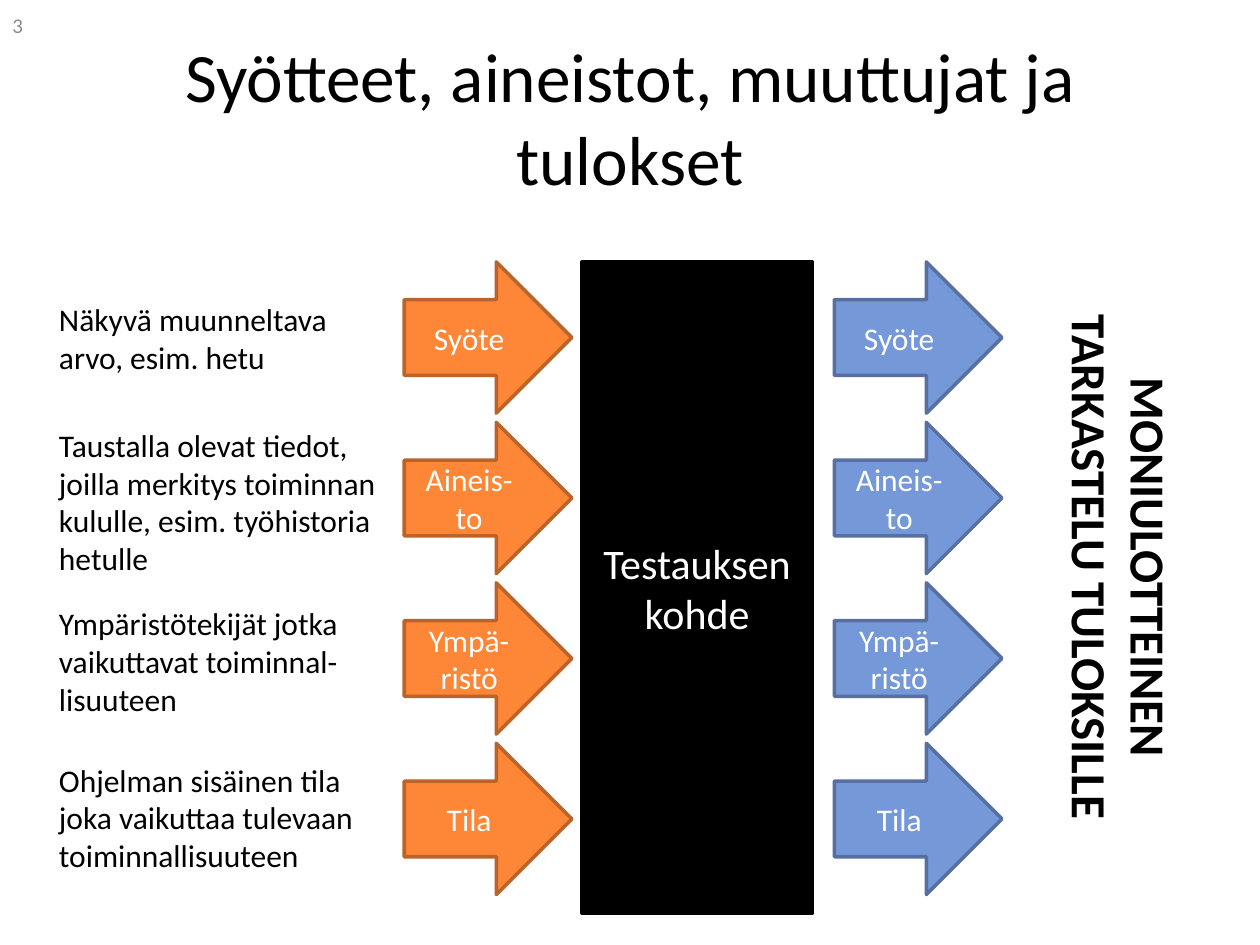
from pptx import Presentation
from pptx.dml.color import RGBColor
from pptx.enum.shapes import MSO_SHAPE as Shape
from pptx.enum.text import MSO_ANCHOR as Anchor, PP_ALIGN as Align
from pptx.util import Cm, Pt


def rgb(code):
    return RGBColor.from_string(code)


def write(shape, text, size, color="000000", align=Align.LEFT, anchor=Anchor.TOP, bold=False):
    frame = shape.text_frame
    frame.text = text
    frame.word_wrap = True
    frame.vertical_anchor = anchor
    para = frame.paragraphs[0]
    para.alignment = align
    look = {"name": "Calibri", "size": Pt(size), "bold": bold}
    for key, value in look.items():
        setattr(para.font, key, value)
    para.font.color.rgb = rgb(color)


prs = Presentation()
prs.slide_width, prs.slide_height = Cm(25.4), Cm(19.05)
slide = prs.slides.add_slide(prs.slide_layouts[5])
shapes = slide.shapes

title = shapes.title
place = {"left": Cm(1.27), "top": Cm(0.76), "width": Cm(22.86), "height": Cm(3.18)}
for key, value in place.items():
    setattr(title, key, value)
write(title, "Syötteet, aineistot, muuttujat ja tulokset", 39.6,
      align=Align.CENTER, anchor=Anchor.MIDDLE)

# Test target, with arrows going in on the left and out on the right
top, step = 5.28, 3.235
labels = ["Syöte", "Aineis-to", "Ympä-ristö", "Tila"]
blocks = [(Shape.RECTANGLE, 11.73, top, 4.65, 13.13, "000000", "000000", "Testauksen kohde", 24)]
for left, fill, edge in [(8.15, "FE8637", "BC6329"), (16.82, "7598D9", "5770A1")]:
    for row, label in enumerate(labels):
        blocks.append((Shape.RIGHT_ARROW, left, top + row * step, 3.38, 3.05,
                       fill, edge, label, 18))

for kind, x, y, w, h, fill, edge, text, size in blocks:
    block = shapes.add_shape(kind, Cm(x), Cm(y), Cm(w), Cm(h))
    block.shadow.inherit = False
    block.fill.solid()
    block.fill.fore_color.rgb = rgb(fill)
    block.line.color.rgb = rgb(edge)
    block.line.width = Pt(2)
    write(block, text, size, "FFFFFF", Align.CENTER, Anchor.MIDDLE)

notes = [
    (5.92, 6.78, 1.8, "Näkyvä muunneltava arvo, esim. hetu"),
    (8.46, 7.19, 3.33, "Taustalla olevat tiedot, joilla merkitys toiminnan kululle, "
                       "esim. työhistoria hetulle"),
    (12.06, 7.19, 2.57, "Ympäristötekijät jotka vaikuttavat toiminnal-lisuuteen"),
    (15.21, 7.19, 2.57, "Ohjelman sisäinen tila joka vaikuttaa tulevaan toiminnallisuuteen"),
]
for y, w, h, text in notes:
    note = shapes.add_textbox(Cm(0.94), Cm(y), Cm(w), Cm(h))
    write(note, text, 18)

side = shapes.add_textbox(Cm(16.87), Cm(10.11), Cm(11.43), Cm(2.64))
side.rotation = 90
write(side, "MONIULOTTEINEN TARKASTELU TULOKSILLE", 28, align=Align.CENTER, bold=True)

number = shapes.add_textbox(Cm(0), Cm(0), Cm(5.92), Cm(1.02))
write(number, "3", 12, "8C8C8C", anchor=Anchor.MIDDLE)

prs.save("out.pptx")
